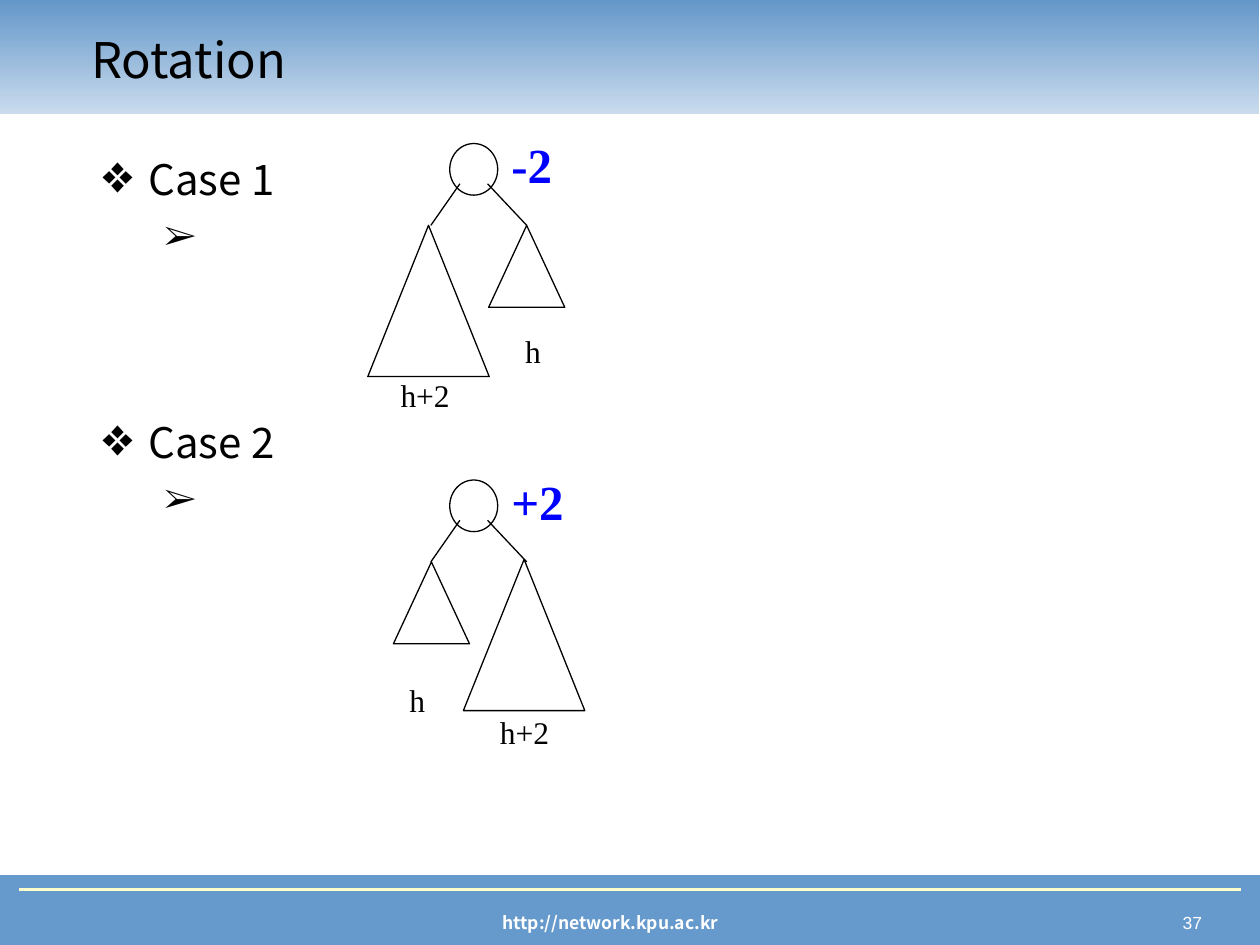
import pptx
import pptx.dml.color
import pptx.enum.shapes
import pptx.enum.text
import pptx.oxml
import pptx.oxml.ns
import pptx.util

Pt = pptx.util.Pt
SHAPES = pptx.enum.shapes.MSO_SHAPE
ALIGN = pptx.enum.text.PP_ALIGN
ANCHOR = pptx.enum.text.MSO_ANCHOR

COLOURS = {
    "bar": "6699CC", "band top": "6497C9", "band bottom": "C9DBED",
    "rule": "FFFFCC", "ink": "000000", "balance": "0000FF", "light": "FFFFFF",
}
SANS, SERIF = "Noto Sans CJK KR", "Times New Roman"
FONTS = {
    "title": {"name": SANS, "size": Pt(28), "bold": False},
    "case": {"name": SANS, "size": Pt(24), "bold": False},
    "item": {"name": SANS, "size": Pt(20), "bold": False},
    "address": {"name": SANS, "size": Pt(10), "bold": True},
    "number": {"name": "Arial", "size": Pt(10), "bold": False},
    "balance": {"name": SERIF, "size": Pt(28), "bold": True},
    "height": {"name": SERIF, "size": Pt(18), "bold": False},
}


def colour(name):
    return pptx.dml.color.RGBColor.from_string(COLOURS[name])


def apply(target, values):
    for name, value in values.items():
        setattr(target, name, value)


class SlideBuilder:
    def __init__(self, slide):
        self.slide = slide

    def format_font(self, paragraph, style, ink):
        apply(paragraph.font, FONTS[style])
        paragraph.font.color.rgb = colour(ink)

    def title(self, text, left, top, width, height):
        shape = self.slide.shapes.title
        apply(shape, {"left": Pt(left), "top": Pt(top),
                      "width": Pt(width), "height": Pt(height)})
        shape.text_frame.text = text
        shape.text_frame.vertical_anchor = ANCHOR.MIDDLE
        paragraph = shape.text_frame.paragraphs[0]
        paragraph.alignment = ALIGN.LEFT
        self.format_font(paragraph, "title", "ink")
        # Bring the title in front of the band
        self.slide.shapes.element.append(shape.element)

    def shape(self, kind, left, top, width, height, fill=None, line="ink"):
        shape = self.slide.shapes.add_shape(
            kind, Pt(left), Pt(top), Pt(width), Pt(height))
        shape.shadow.inherit = False
        if fill:
            shape.fill.solid()
            shape.fill.fore_color.rgb = colour(fill)
        else:
            shape.fill.background()
        if line:
            shape.line.color.rgb = colour(line)
            shape.line.width = Pt(0.75)
        else:
            shape.line.fill.background()
        return shape

    def band(self, left, top, width, height):
        shape = self.shape(SHAPES.RECTANGLE, left, top, width, height, line=None)
        shape.fill.gradient()
        shape.fill.gradient_angle = 270
        for stop, name in zip(shape.fill.gradient_stops, ("band top", "band bottom")):
            stop.color.rgb = colour(name)

    def line(self, start, end, ink="ink", width=0.75):
        connector = self.slide.shapes.add_connector(
            pptx.enum.shapes.MSO_CONNECTOR.STRAIGHT, *map(Pt, start + end))
        connector.line.color.rgb = colour(ink)
        connector.line.width = Pt(width)
        properties = connector.element.spPr
        properties.append(pptx.oxml.parse_xml(
            "<a:effectLst %s/>" % pptx.oxml.ns.nsdecls("a")))

    def text(self, text, left, top, width, height, style, ink,
             alignment=ALIGN.LEFT, wrap=False):
        box = self.slide.shapes.add_textbox(Pt(left), Pt(top), Pt(width), Pt(height))
        box.text_frame.word_wrap = wrap
        paragraph = box.text_frame.paragraphs[0]
        paragraph.text = text
        paragraph.alignment = alignment
        self.format_font(paragraph, style, ink)

    def outline(self, items, left, top, width, height):
        box = self.slide.shapes.add_textbox(Pt(left), Pt(top), Pt(width), Pt(height))
        frame = box.text_frame
        frame.word_wrap = True
        for index, (text, level, before) in enumerate(items):
            paragraph = frame.add_paragraph() if index else frame.paragraphs[0]
            paragraph.text = text
            apply(paragraph, {"level": level, "space_before": Pt(before)})
            margin, indent, bullet, style = (
                (27, -27, "❖", "case"), (58.5, -22.5, "➢", "item"))[level]
            properties = paragraph._p.get_or_add_pPr()
            properties.set("marL", str(Pt(margin)))
            properties.set("indent", str(Pt(indent)))
            for tag, name, value in (("buFont", "typeface", SERIF),
                                     ("buChar", "char", bullet)):
                properties.append(pptx.oxml.parse_xml('<a:%s %s %s="%s"/>' % (
                    tag, pptx.oxml.ns.nsdecls("a"), name, value)))
            self.format_font(paragraph, style, "ink")

    def tree(self, top, balance, small, large, small_label, large_label):
        """Root with two subtrees; small, large and labels are (left, drop)."""
        self.shape(SHAPES.ISOSCELES_TRIANGLE, small[0], top + small[1], 43.5, 46.8)
        self.shape(SHAPES.ISOSCELES_TRIANGLE, large[0], top + large[1], 69.4, 86.4)
        self.shape(SHAPES.OVAL, 257, top, 27.4, 29.5)
        for foot, root in ((246.2, 262.8), (301, 278.6)):
            self.line((foot, top + 46.8), (root, top + 23))
        self.text(balance, 285.1, top - 8.6, 48, 41, "balance", "balance")
        for text, (left, drop), width in (("h", small_label, 24),
                                          ("h+2", large_label, 44)):
            self.text(text, left, top + drop, width, 28.8, "height", "ink")


def main():
    presentation = pptx.Presentation()
    apply(presentation, {"slide_width": Pt(720), "slide_height": Pt(540)})
    slide = presentation.slides.add_slide(presentation.slide_layouts[5])
    builder = SlideBuilder(slide)

    # Footer
    builder.shape(SHAPES.RECTANGLE, 0, 500.4, 720, 39.6, "bar", "bar")
    builder.text("37", 538, 517.4, 156, 19.4, "number", "light", ALIGN.RIGHT, True)
    builder.text("http://network.kpu.ac.kr", 163, 517.4, 371.5, 19.4,
                 "address", "light", ALIGN.CENTER, True)
    builder.line((10.8, 508.3), (709.2, 508.3), "rule", 1.5)

    # Title band
    builder.band(-0.5, 0, 720, 65)
    builder.title("Rotation", 45, 11.5, 607.7, 44.6)

    # Cases
    builder.outline([("Case 1", 0, 0), (" ", 1, 6.5), ("Case 2", 0, 91), (" ", 1, 6.5)],
                    50.7, 84.2, 453.6, 360)

    # Unbalanced trees
    builder.tree(82, "-2", (279.2, 46.8), (210.2, 46.8), (293, 104.1), (221.8, 129.4))
    builder.tree(274.3, "+2", (224.8, 46.8), (264.8, 45.4), (226.8, 111.6), (278.6, 129.6))

    presentation.save("out.pptx")


if __name__ == "__main__":
    main()
